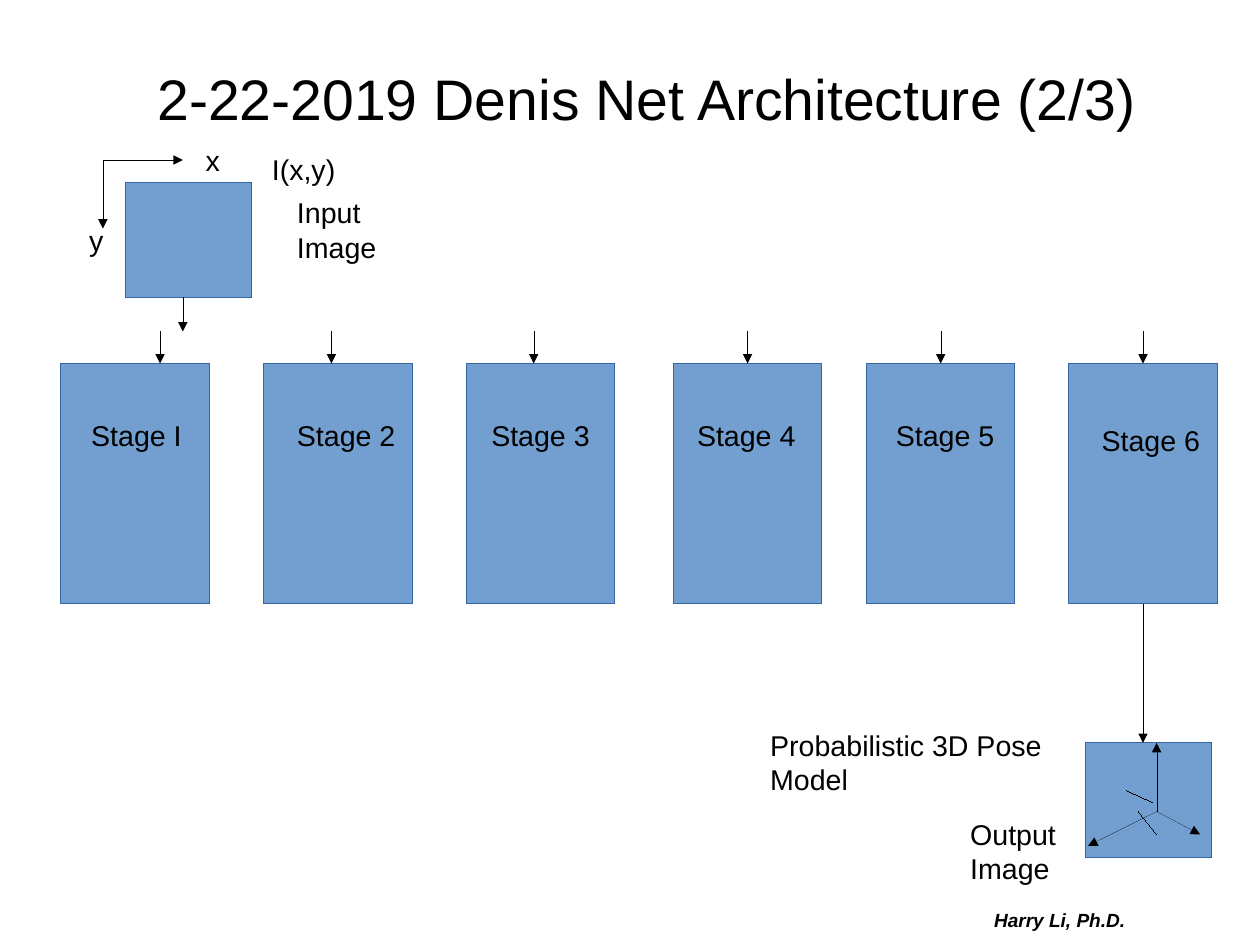
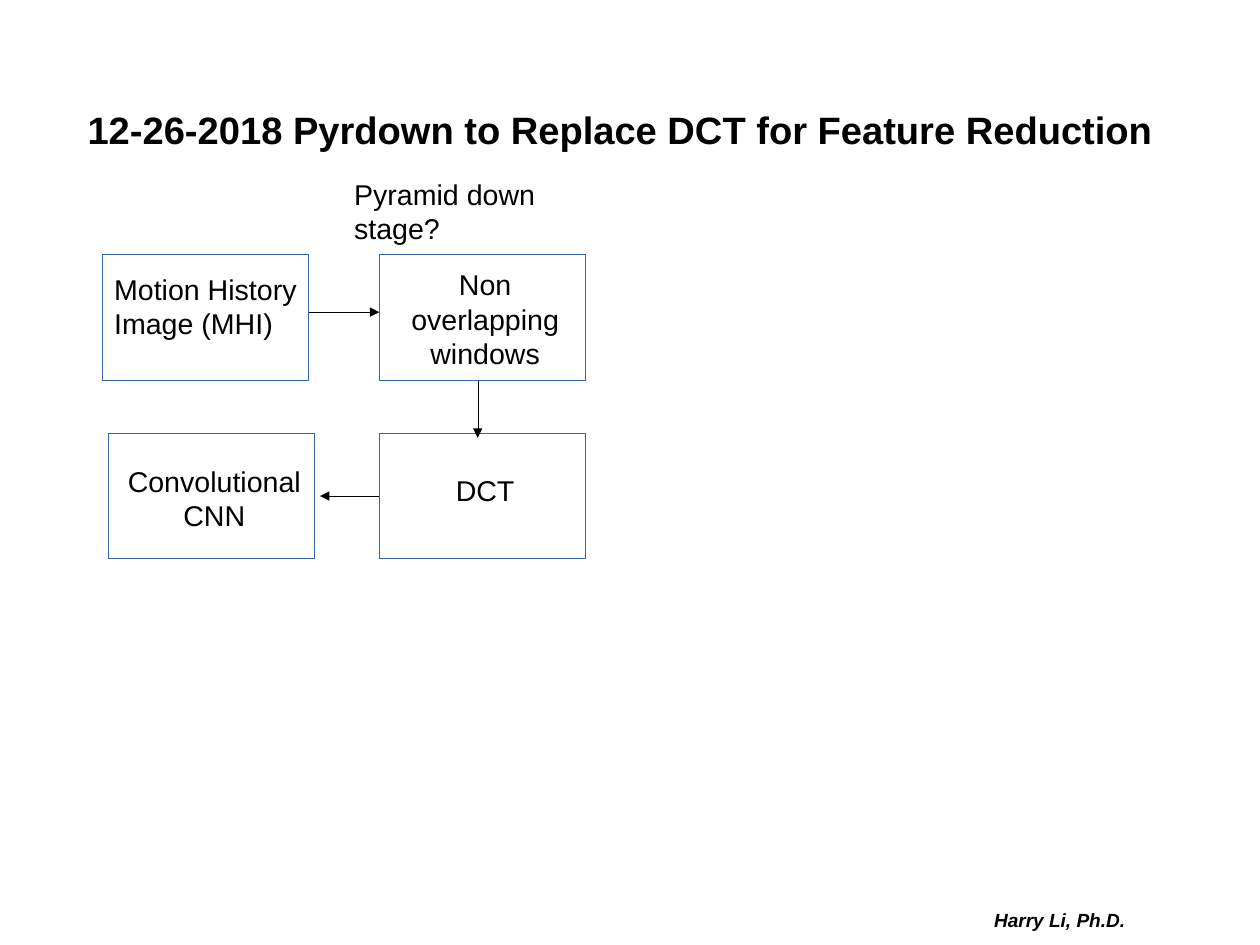
from lxml.etree import SubElement
from pptx import Presentation
from pptx.dml.color import RGBColor
from pptx.enum.shapes import MSO_CONNECTOR, MSO_SHAPE
from pptx.enum.text import MSO_ANCHOR, PP_ALIGN
from pptx.oxml.ns import qn
from pptx.util import Pt

BLACK = RGBColor(0x00, 0x00, 0x00)
FILL = RGBColor(0x72, 0x9F, 0xCF)
EDGE = RGBColor(0x34, 0x65, 0xA4)
FONT = "Arial"
TOP, LEFT, BOTTOM = 0, 1, 2
IMAGE_WIDTH, IMAGE_HEIGHT = 79.2, 72
STAGE_WIDTH, STAGE_HEIGHT = 93.6, 151.2
STEP_WIDTH, STEP_HEIGHT = 129.6, 79.2
STAGES = [
    ("Stage I", 38.2, 62.6, 12.2, 30.9),
    ("Stage 2", 166.3, 42.5, 13.7, 30.9),
    ("Stage 3", 293.8, 42.4, 8.6, 30.9),
    ("Stage 4", 424.1, 46.8, 7.9, 30.9),
    ("Stage 5", 545.8, 46.8, 11.5, 30.9),
    ("Stage 6", 673.2, 46.8, 13.7, 33.8),
]


def add_span(para, text, size, bold=False, italic=False):
    """Add one run in the deck's font."""
    span = para.add_run()
    span.text = text
    span.font.name = FONT
    span.font.size = Pt(size)
    span.font.bold = bold
    span.font.italic = italic
    span.font.color.rgb = BLACK


def add_text(page, left, top, width, height=27.4, align=PP_ALIGN.LEFT):
    """Add a wrapping text box and return its frame and first paragraph."""
    frame = page.shapes.add_textbox(Pt(left), Pt(top), Pt(width), Pt(height)).text_frame
    frame.word_wrap = True
    para = frame.paragraphs[0]
    para.alignment = align
    return frame, para


def add_label(page, text, left, top, width, height=27.4, align=PP_ALIGN.LEFT):
    """Add an 18 point label, breaking its lines where the text does."""
    para = add_text(page, left, top, width, height, align)[1]
    for index, part in enumerate(text.split("\n")):
        if index:
            para.add_line_break()
        add_span(para, part, 18)


def set_hairline(shape, color):
    """Give a shape or connector a line of zero width and return its XML."""
    shape.line.color.rgb = color
    outline = shape.element.spPr.find(qn("a:ln"))
    outline.set("w", "0")
    return outline


def add_box(page, left, top, width, height, filled=True):
    """Add an outlined rectangle, filled or hollow."""
    box = page.shapes.add_shape(MSO_SHAPE.RECTANGLE, Pt(left), Pt(top), Pt(width), Pt(height))
    box.shadow.inherit = False
    if filled:
        box.fill.solid()
        box.fill.fore_color.rgb = FILL
    else:
        box.fill.background()
    set_hairline(box, EDGE)
    return box


def add_line(page, start, end, arrow=True):
    """Add a black hairline, with an arrowhead at its end unless told otherwise."""
    line = page.shapes.add_connector(MSO_CONNECTOR.STRAIGHT, *map(Pt, start + end))
    outline = set_hairline(line, BLACK)
    if arrow:
        SubElement(outline, qn("a:tailEnd"), type="triangle")
    SubElement(line.element.spPr, qn("a:effectLst"))
    return line


def add_page(deck, title, size, bold, left, top):
    """Add a blank page with its title and the shared footer."""
    page = deck.slides.add_slide(deck.slide_layouts[6])
    frame, para = add_text(page, left, top, 714.2, 99.4, PP_ALIGN.CENTER)
    frame.vertical_anchor = MSO_ANCHOR.MIDDLE
    frame.margin_left = frame.margin_top = frame.margin_right = frame.margin_bottom = 0
    add_span(para, title, size, bold)
    add_span(para, " ", 44)
    para = add_text(page, 619.2, 568.8, 158.4, 20.9)[1]
    add_span(para, "Harry Li, Ph.D.", 12, bold=True, italic=True)
    return page


def add_input(page, left, top):
    """Draw the input image with its axes, from the axes' origin."""
    add_box(page, left + 14.4, top + 14.4, IMAGE_WIDTH, IMAGE_HEIGHT)
    add_line(page, (left, top), (left + 50.4, top))
    add_line(page, (left, top), (left, top + 43.2))
    add_line(page, (left + 50.4, top + 86.4), (left + 50.4, top + 108))
    for text, across, down, width, height in [
        ("x", 57.6, -14.4, 64.8, 27.4),
        ("y", -15.8, 36, 36, 27.4),
        ("I(x,y)", 99.4, -8.6, 57.6, 27.4),
        ("Input Image", 115.2, 18.7, 86.4, 47.5),
    ]:
        add_label(page, text, left + across, top + down, width, height)


def add_stages(page, top):
    """Draw the row of stages with their arrows and return the last box."""
    for name, left, arrow, across, down in STAGES:
        box = add_box(page, left, top, STAGE_WIDTH, STAGE_HEIGHT)
        line = add_line(page, (left + arrow, top - 20.2), (left + arrow, top))
        if arrow == STAGE_WIDTH / 2:
            line.end_connect(box, TOP)
        add_label(page, name, left + across, top + down, 79.2)
    return box


def add_output(page, left, top):
    """Draw the output image with its three axes and captions."""
    add_box(page, left, top, IMAGE_WIDTH, IMAGE_HEIGHT)
    origin = (44.6, 43.2)
    for start, end, arrow in [
        (origin, (44.6, 0), True),
        (origin, (1.4, 64.8), True),
        (origin, (72, 57.6), True),
        ((25.9, 30.2), (41.8, 37.4), False),
        ((33.1, 43.2), (44.6, 57.6), False),
    ]:
        add_line(page, (left + start[0], top + start[1]), (left + end[0], top + end[1]), arrow)
    add_label(page, "Output Image", left - 79.9, top + 43.2, 108, 47.5)
    add_label(page, "Probabilistic 3D Pose Model", left - 205.9, top - 13, 187.2, 47.5)


def add_step(page, text, left, top, down, height, align=PP_ALIGN.CENTER):
    """Draw one hollow step of the flow with its text."""
    add_label(page, text, left, top + down, 133.2, height, align)
    return add_box(page, left, top, STEP_WIDTH, STEP_HEIGHT, filled=False)


def add_flow(page, left, top):
    """Draw the four steps and the arrows between them."""
    right, lower = left + 174.2, top + 112.3
    add_step(page, "Motion History Image (MHI)", left, top, 7.2, 47.5, PP_ALIGN.LEFT)
    add_step(page, "Non overlapping windows", right, top, 4.3, 67.7)
    dct = add_step(page, "DCT", right, lower, 21.6, 27.4)
    add_step(page, "Convolutional\nCNN", left + 3.6, lower, 15.8, 47.5)
    add_line(page, (left + STEP_WIDTH, top + 36), (right, top + 36))
    add_line(page, (right + 61.9, top + STEP_HEIGHT), (right + 61.9, lower + 2.9))
    level = lower + STEP_HEIGHT / 2
    back = add_line(page, (right, level), (left + 136.8, level))
    back.begin_connect(dct, LEFT)
    add_label(page, "Pyramid down stage?", left + 151.2, top - 52.6, 187.2)


def build_architecture(deck):
    """Build the network architecture page."""
    page = add_page(deck, "2-22-2019 Denis Net Architecture (2/3)", 36, False, 56.2, 8.6)
    add_input(page, 64.8, 100.8)
    last = add_stages(page, 229)
    add_output(page, 684, 468)
    add_line(page, (720, 380.2), (720, 468)).begin_connect(last, BOTTOM)


def build_reduction(deck):
    """Build the feature reduction page."""
    title = "12-26-2018 Pyrdown to Replace DCT for Feature Reduction"
    page = add_page(deck, title, 24, True, 39.6, 23.8)
    add_flow(page, 64.8, 160.6)


def main():
    """Build and save the deck."""
    deck = Presentation()
    deck.slide_width, deck.slide_height = Pt(793.7), Pt(595.28)
    build_architecture(deck)
    build_reduction(deck)
    deck.save("out.pptx")


if __name__ == "__main__":
    main()
